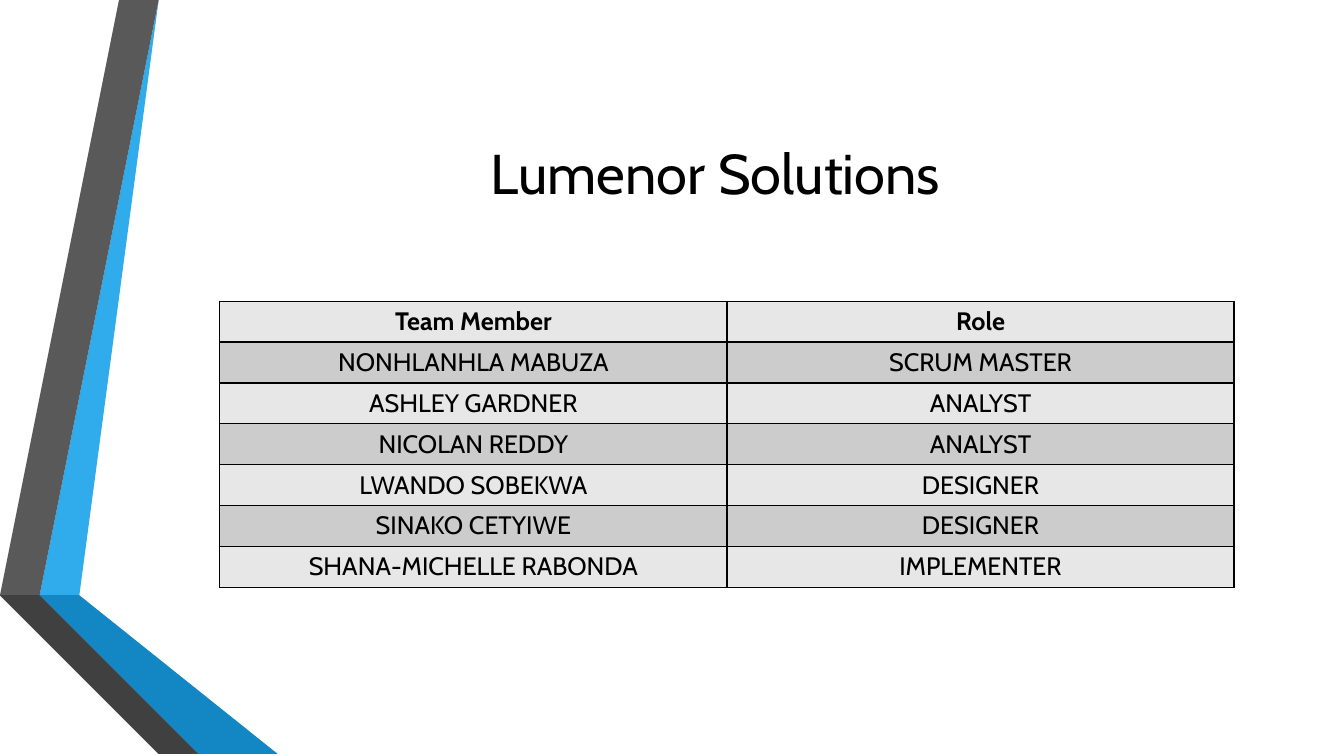
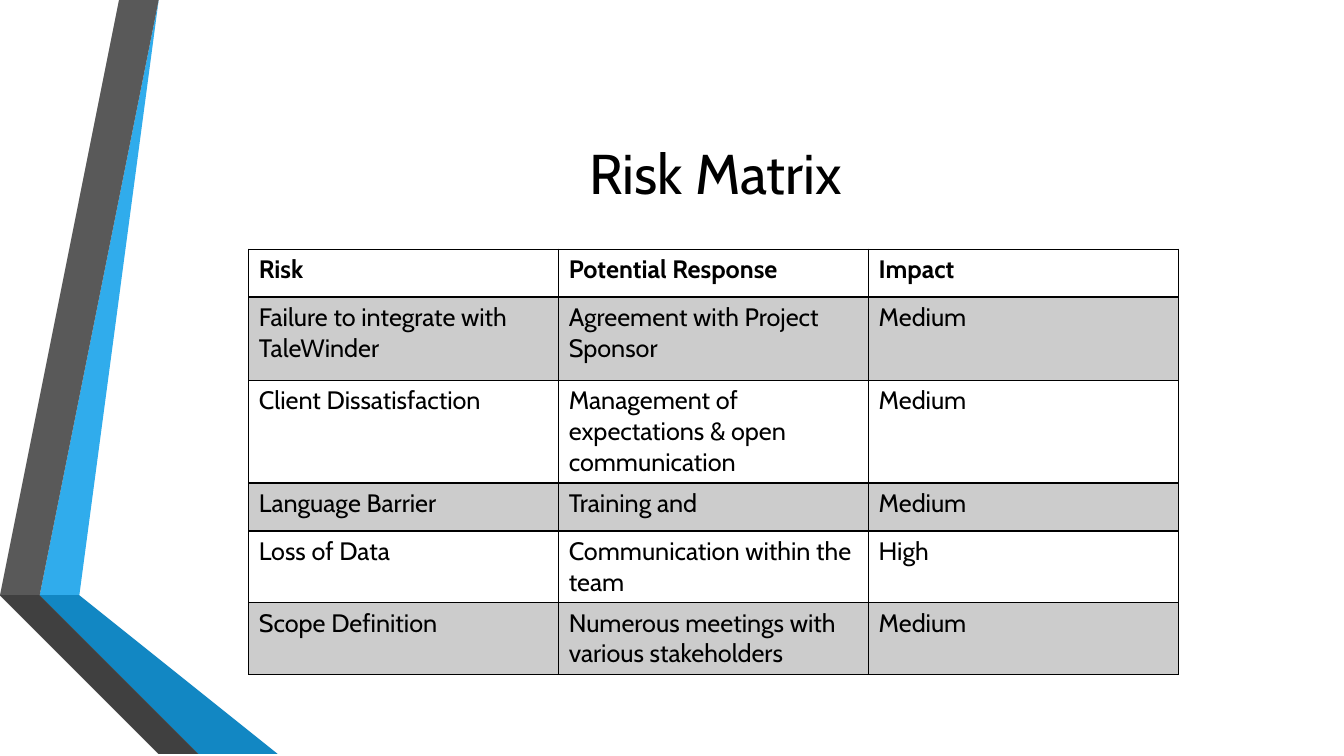
import dataclasses

import lxml.etree
import pptx
import pptx.dml.color
import pptx.enum.text
import pptx.oxml.ns
import pptx.util

Cm = pptx.util.Cm
Pt = pptx.util.Pt
Align = pptx.enum.text.PP_ALIGN
Anchor = pptx.enum.text.MSO_ANCHOR


@dataclasses.dataclass(frozen=True)
class Theme:
    font: str = "Cabin"
    title_size: int = 40
    table_size: int = 18
    ink: str = "000000"
    light_row: str = "E7E7E7"
    dark_row: str = "CCCCCC"
    white: str = "FFFFFF"
    blue: str = "30ACEC"
    blue_fold: str = "1287C3"
    blue_edge: str = "0C5A82"
    grey: str = "595959"
    grey_fold: str = "404040"
    grey_edge: str = "262626"


theme = Theme()


def format_text(frame, size, bold, alignment):
    for para in frame.paragraphs:
        para.alignment = alignment
        for span in para.runs:
            span.font.name = theme.font
            span.font.size = Pt(size)
            span.font.bold = bold
            span.font.color.rgb = pptx.dml.color.RGBColor.from_string(theme.ink)


def add_border(cell, position, side, width):
    """Draw one side of a cell; position keeps the lines ahead of the fill."""
    line = lxml.etree.Element(pptx.oxml.ns.qn(f"a:ln{side}"), w=str(Pt(width)))
    fill = lxml.etree.SubElement(line, pptx.oxml.ns.qn("a:solidFill"))
    lxml.etree.SubElement(fill, pptx.oxml.ns.qn("a:srgbClr"), val=theme.ink)
    cell._tc.get_or_add_tcPr().insert(position, line)


deck = pptx.Presentation()
deck.slide_width = Cm(33.87)
deck.slide_height = Cm(19.05)
layout = deck.slide_layouts[5]

layout_title = layout.placeholders[0]
layout_title.left, layout_title.top = Cm(4.11), Cm(1.9)
layout_title.width, layout_title.height = Cm(27.84), Cm(4.88)

# Ribbon outlines in centimetres, back to front
bottom = 19.05
ribbons = [
    (theme.blue, [(1.27, 14.68), (1.96, 14.81), (4.39, 0), (3.68, 0)]),
    (theme.grey, [(3.53, 0), (2.82, 0), (0.41, 14.55), (1.12, 14.66)]),
    (theme.grey_edge, [(0.41, 14.55), (3.68, bottom), (3.84, bottom)]),
    (theme.blue_edge, [(1.27, 14.71), (5.28, bottom), (5.44, bottom)]),
    (theme.blue_fold, [(1.27, 14.68), (5.44, bottom), (7.19, bottom), (1.96, 14.81)]),
    (theme.grey_fold, [(5.13, bottom), (1.22, 14.81), (1.12, 14.66),
                       (0.41, 14.55), (3.84, bottom)]),
]

pages = [
    {
        "title": "Lumenor Solutions",
        "left": 5.54, "top": 7.59, "column": 12.78,
        "heights": [1.03] * 7,
        "fills": [theme.light_row, theme.dark_row],
        "alignment": Align.CENTER,
        "header_line": 1,
        "rows": [
            ["Team Member", "Role"],
            ["NONHLANHLA MABUZA", "SCRUM MASTER"],
            ["ASHLEY GARDNER", "ANALYST"],
            ["NICOLAN REDDY", "ANALYST"],
            ["LWANDO SOBEKWA", "DESIGNER"],
            ["SINAKO CETYIWE", "DESIGNER"],
            ["SHANA-MICHELLE RABONDA", "IMPLEMENTER"],
        ],
    },
    {
        "title": "Risk Matrix",
        "left": 6.27, "top": 6.28, "column": 7.81,
        "heights": [1.21, 2.09, 2.59, 1.21, 1.8, 1.8],
        "fills": [theme.white, theme.dark_row],
        "alignment": Align.LEFT,
        "header_line": 2,
        "rows": [
            ["Risk", "Potential Response", "Impact"],
            ["Failure to integrate with TaleWinder", "Agreement with Project Sponsor", "Medium"],
            ["Client Dissatisfaction",
             "Management of expectations & open communication", "Medium"],
            ["Language Barrier", "Training and", "Medium"],
            ["Loss of Data", "Communication within the team", "High"],
            ["Scope Definition", "Numerous meetings with various stakeholders", "Medium"],
        ],
    },
]

slides = [deck.slides.add_slide(layout) for page in pages]

# Layouts cannot build freeforms, so the ribbons are drawn on a slide and moved
for order, (color, points) in enumerate(ribbons):
    outline = slides[0].shapes.build_freeform(*points[0], scale=Cm(1))
    outline.add_line_segments(points[1:], close=True)
    ribbon = outline.convert_to_shape()
    ribbon.shadow.inherit = False
    ribbon.fill.solid()
    ribbon.fill.fore_color.rgb = pptx.dml.color.RGBColor.from_string(color)
    ribbon.line.fill.background()
    layout.shapes.element.insert(2 + order, ribbon.element)

for slide, page in zip(slides, pages):
    title = slide.shapes.title.text_frame
    title.text = page["title"]
    title.vertical_anchor = Anchor.MIDDLE
    format_text(title, theme.title_size, False, Align.CENTER)

    rows = page["rows"]
    columns = len(rows[0])
    table = slide.shapes.add_table(
        len(rows), columns, Cm(page["left"]), Cm(page["top"]),
        Cm(page["column"] * columns), Cm(sum(page["heights"])),
    ).table
    table.horz_banding = False
    for column in table.columns:
        column.width = Cm(page["column"])

    for row_index, texts in enumerate(rows):
        table.rows[row_index].height = Cm(page["heights"][row_index])
        widths = {
            "L": 1,
            "R": 1,
            "T": page["header_line"] if row_index == 1 else 1,
            "B": page["header_line"] if row_index == 0 else 1,
        }
        for column_index, text in enumerate(texts):
            cell = table.cell(row_index, column_index)
            cell.text_frame.text = text
            format_text(cell.text_frame, theme.table_size, row_index == 0, page["alignment"])
            cell.fill.solid()
            cell.fill.fore_color.rgb = pptx.dml.color.RGBColor.from_string(
                page["fills"][row_index % 2])
            for position, (side, width) in enumerate(widths.items()):
                add_border(cell, position, side, width)

deck.save("out.pptx")
